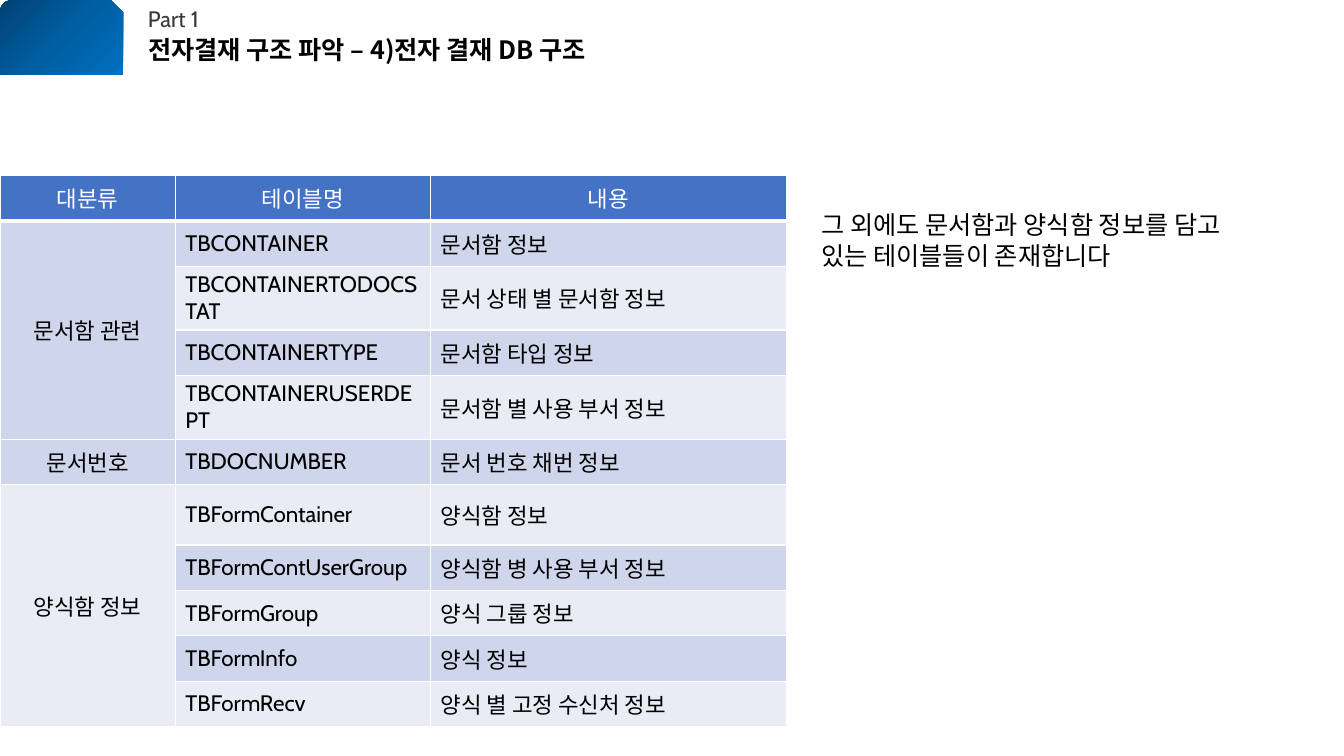
from pptx import Presentation
from pptx.dml.color import RGBColor
from pptx.enum import shapes, text
from pptx.oxml import parse_xml
from pptx.oxml.ns import nsdecls
from pptx.util import Pt

PART = "Part 1"
TITLE = "전자결재 구조 파악 – 4)전자 결재 DB 구조"
REMARK = "그 외에도 문서함과 양식함 정보를 담고 있는 테이블들이 존재합니다"
HEADINGS = ("대분류", "테이블명", "내용")
CATEGORIES = [
    ("문서함 관련", [
        ("TBCONTAINER", "문서함 정보"),
        ("TBCONTAINERTODOCSTAT", "문서 상태 별 문서함 정보"),
        ("TBCONTAINERTYPE", "문서함 타입 정보"),
        ("TBCONTAINERUSERDEPT", "문서함 별 사용 부서 정보"),
    ]),
    ("문서번호", [("TBDOCNUMBER", "문서 번호 채번 정보")]),
    ("양식함 정보", [
        ("TBFormContainer", "양식함 정보"),
        ("TBFormContUserGroup", "양식함 병 사용 부서 정보"),
        ("TBFormGroup", "양식 그룹 정보"),
        ("TBFormInfo", "양식 정보"),
        ("TBFormRecv", "양식 별 고정 수신처 정보"),
    ]),
]

BLACK = RGBColor(0x00, 0x00, 0x00)
WHITE = RGBColor(0xFF, 0xFF, 0xFF)
GRAY = RGBColor(0x3B, 0x38, 0x38)
HEADER_BLUE = RGBColor(0x44, 0x72, 0xC4)
BANDS = (RGBColor(0xE9, 0xEB, 0xF5), RGBColor(0xCF, 0xD5, 0xEA))
CORNER_STOPS = [
    (0, RGBColor(0x00, 0x42, 0x72)),
    (50, RGBColor(0x00, 0x5E, 0xA2)),
    (100, RGBColor(0x00, 0x70, 0xC0)),
]
LATIN, KOREAN = "Cabin", "Noto Sans CJK KR"
COLUMN_WIDTHS = (125.3, 182.2, 254.1)
ROW_HEIGHT, TALL_ROW_HEIGHT, TALL_ROW = 32.4, 43.2, 6


def write(frame, wording, color, size, name=LATIN, bold=False, align=text.PP_ALIGN.LEFT):
    paragraph = frame.paragraphs[0]
    paragraph.alignment = align
    run = paragraph.add_run()
    run.text = wording
    for key, value in {"size": Pt(size), "bold": bold, "name": name}.items():
        setattr(run.font, key, value)
    run.font.color.rgb = color
    run.font._element.append(
        parse_xml(f'<a:ea {nsdecls("a")} typeface="{KOREAN}"/>'))


def set_frame(frame, **settings):
    for key, value in settings.items():
        setattr(frame, key, value)


def add_label(box, wording, color, size, wrap):
    label = slide.shapes.add_textbox(*map(Pt, box))
    set_frame(label.text_frame, word_wrap=wrap,
              auto_size=text.MSO_AUTO_SIZE.SHAPE_TO_FIT_TEXT)
    write(label.text_frame, wording, color, size)


def fill_cell(row, column, wording, fill, color=BLACK, centered=False):
    cell = table.cell(row, column)
    cell.vertical_anchor = text.MSO_ANCHOR.MIDDLE
    write(cell.text_frame, wording, color, 16,
          align=text.PP_ALIGN.CENTER if centered else text.PP_ALIGN.LEFT)
    cell.fill.solid()
    cell.fill.fore_color.rgb = fill


def add_borders(cell, bottom):
    properties = cell._tc.get_or_add_tcPr()
    for index, (side, width) in enumerate(
            {"L": 1, "R": 1, "T": 1, "B": bottom}.items()):
        properties.insert(index, parse_xml(
            f'<a:ln{side} {nsdecls("a")} w="{Pt(width)}"><a:solidFill>'
            f'<a:srgbClr val="{WHITE}"/></a:solidFill></a:ln{side}>'))


prs = Presentation()
prs.slide_width, prs.slide_height = Pt(960), Pt(540)
slide = prs.slides.add_slide(prs.slide_layouts[5])

corner = slide.shapes.add_shape(
    shapes.MSO_SHAPE.SNIP_ROUND_RECTANGLE, 0, 0, Pt(88), Pt(53.5))
corner.shadow.inherit = False
corner.line.fill.background()
stops = "".join(f'<a:gs pos="{position * 1000}"><a:srgbClr val="{color}"/></a:gs>'
                for position, color in CORNER_STOPS)
corner._element.spPr.insert(2, parse_xml(
    f'<a:gradFill {nsdecls("a")} rotWithShape="1"><a:gsLst>{stops}</a:gsLst>'
    '<a:path path="circle"><a:fillToRect r="100000" b="100000"/></a:path></a:gradFill>'))

title = slide.shapes.title
for side, length in zip(("left", "top", "width", "height"), (98.6, 20.9, 381.6, 31.7)):
    setattr(title, side, Pt(length))
set_frame(title.text_frame, word_wrap=True, auto_size=text.MSO_AUTO_SIZE.NONE,
          vertical_anchor=text.MSO_ANCHOR.TOP)
write(title.text_frame, TITLE, BLACK, 18, KOREAN, True)
add_label((98.6, 0, 53.3, 26.6), PART, GRAY, 16, False)
add_label((579.6, 146.2, 316.8, 51.1), REMARK, BLACK, 18, True)

row_count = 1 + sum(len(entries) for _, entries in CATEGORIES)
table = slide.shapes.add_table(
    row_count, len(HEADINGS), 0, Pt(125.3), Pt(sum(COLUMN_WIDTHS)),
    Pt(ROW_HEIGHT * (row_count - 1) + TALL_ROW_HEIGHT)).table
for column, width in zip(table.columns, COLUMN_WIDTHS):
    column.width = Pt(width)
for index, row in enumerate(table.rows):
    row.height = Pt(TALL_ROW_HEIGHT if index == TALL_ROW else ROW_HEIGHT)

for column, heading in enumerate(HEADINGS):
    fill_cell(0, column, heading, HEADER_BLUE, WHITE, True)
first = 1
for category, entries in CATEGORIES:
    last = first + len(entries) - 1
    if last > first:
        table.cell(first, 0).merge(table.cell(last, 0))
    fill_cell(first, 0, category, BANDS[first % 2], centered=True)
    for row, (name, content) in enumerate(entries, first):
        fill_cell(row, 1, name, BANDS[row % 2])
        fill_cell(row, 2, content, BANDS[row % 2])
    first = last + 1
for index, row in enumerate(table.rows):
    for cell in row.cells:
        add_borders(cell, 3 if index == 0 else 1)

prs.save("out.pptx")
